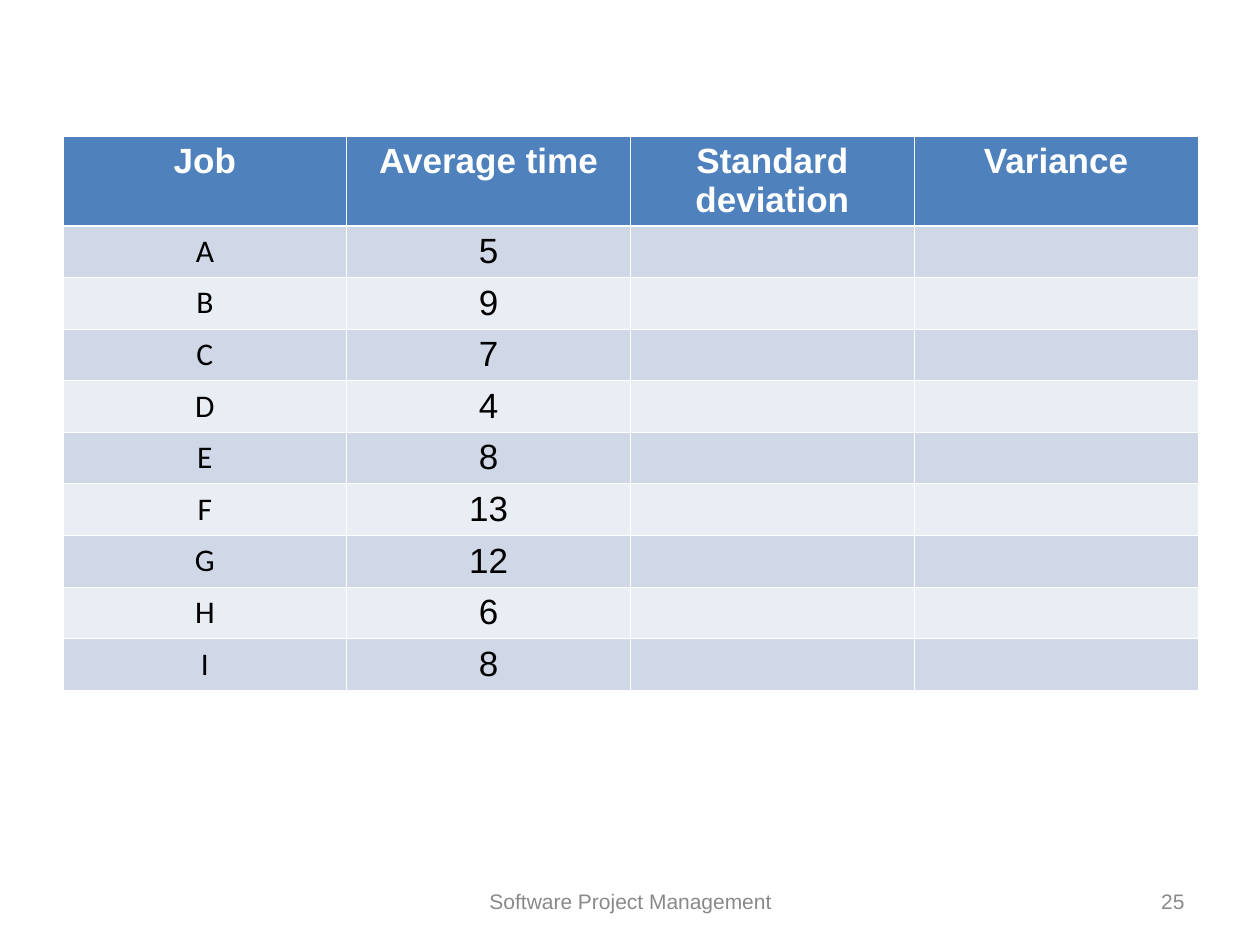
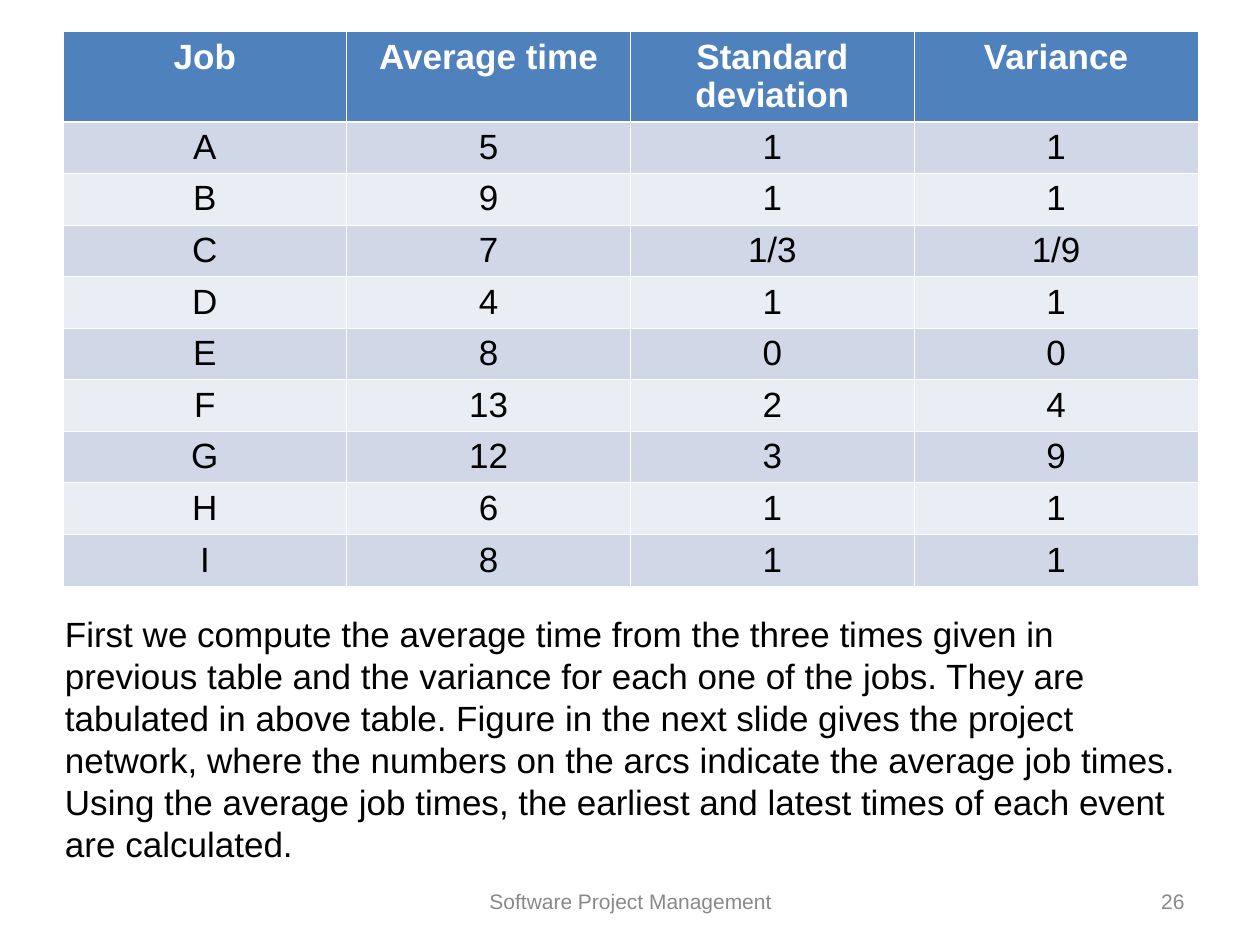
"""Build two slides tabulating job times, deviations and variances."""
from lxml.etree import SubElement
from pptx import Presentation
from pptx.dml.color import RGBColor
from pptx.enum.text import MSO_ANCHOR as Anchor, PP_ALIGN as Align
from pptx.oxml.ns import qn
from pptx.util import Cm, Pt

COLORS = {
    "header": "4F81BD",
    "odd_band": "D0D8E8",
    "even_band": "E9EDF4",
    "white": "FFFFFF",
    "black": "000000",
    "footer": "898989",
}
HEADINGS = ("Job", "Average time", "Standard deviation", "Variance")
JOBS = [
    ("A", "5", "1", "1"),
    ("B", "9", "1", "1"),
    ("C", "7", "1/3", "1/9"),
    ("D", "4", "1", "1"),
    ("E", "8", "0", "0"),
    ("F", "13", "2", "4"),
    ("G", "12", "3", "9"),
    ("H", "6", "1", "1"),
    ("I", "8", "1", "1"),
]
EXPLANATION = (
    "First we compute the average time from the three times given in previous table "
    "and the variance for each one of the jobs. They are tabulated in above table. "
    "Figure in the next slide gives the project network, where the numbers on the arcs "
    "indicate the average job times. Using the average job times, the earliest and "
    "latest times of each event are calculated."
)
FOOTER = "Software Project Management"
SLIDES = [
    {"number": "25", "table_top": 2.74, "known_columns": 2, "explanation": "",
     "job_font": {"name": "Calibri", "size": Pt(18)}},
    {"number": "26", "table_top": 0.64, "known_columns": 4, "explanation": EXPLANATION,
     "job_font": {}},
]

TABLE_LEFT, COLUMN_WIDTH = 1.27, 5.72
HEADER_HEIGHT, ROW_HEIGHT = 1.81, 1.04
THIN_LINE, HEADER_LINE = Pt(0.45), Pt(1.47)
FOOTER_TOP, FOOTER_HEIGHT = 17.65, 1.02
BODY_FONT = {"name": "Arial", "size": Pt(20), "bold": False}
HEADER_FONT = {**BODY_FONT, "bold": True}
FOOTER_FONT = {**BODY_FONT, "size": Pt(12)}
CELL_FORMAT = {
    "margin_left": Cm(0.21),
    "margin_right": Cm(0.21),
    "margin_top": Cm(0.13),
    "margin_bottom": Cm(0.13),
}


def set_attributes(target, values):
    for name, value in values.items():
        setattr(target, name, value)


def write_text(paragraph, text, font, color, **paragraph_format):
    set_attributes(paragraph, paragraph_format)
    if text:
        run = paragraph.add_run()
        run.text = text
        set_attributes(run.font, font)
        run.font.color.rgb = RGBColor.from_string(COLORS[color])


def set_borders(cell, row_index):
    properties = cell._tc.get_or_add_tcPr()
    widths = {
        "a:lnL": THIN_LINE,
        "a:lnR": THIN_LINE,
        "a:lnT": HEADER_LINE if row_index == 1 else THIN_LINE,
        "a:lnB": HEADER_LINE if row_index == 0 else THIN_LINE,
    }
    for position, (tag, width) in enumerate(widths.items()):
        line = SubElement(properties, qn(tag), w=str(int(width)))
        fill = SubElement(line, qn("a:solidFill"))
        SubElement(fill, qn("a:srgbClr"), val=COLORS["white"])
        properties.insert(position, line)


def add_job_table(slide, top, known_columns, job_font):
    records = [HEADINGS] + [
        job[:known_columns] + ("",) * (len(HEADINGS) - known_columns) for job in JOBS
    ]
    table = slide.shapes.add_table(
        len(records), len(HEADINGS), Cm(TABLE_LEFT), Cm(top),
        Cm(COLUMN_WIDTH * len(HEADINGS)), Cm(HEADER_HEIGHT + ROW_HEIGHT * len(JOBS)),
    ).table
    for column in table.columns:
        column.width = Cm(COLUMN_WIDTH)
    for row_index, record in enumerate(records):
        is_header = row_index == 0
        table.rows[row_index].height = Cm(HEADER_HEIGHT if is_header else ROW_HEIGHT)
        band = "header" if is_header else "odd_band" if row_index % 2 else "even_band"
        for column_index, text in enumerate(record):
            cell = table.cell(row_index, column_index)
            set_attributes(cell, CELL_FORMAT)
            cell.fill.solid()
            cell.fill.fore_color.rgb = RGBColor.from_string(COLORS[band])
            set_borders(cell, row_index)
            font = HEADER_FONT if is_header else BODY_FONT
            if column_index == 0 and not is_header:
                font = {**font, **job_font}
            write_text(cell.text_frame.paragraphs[0], text, font,
                       "white" if is_header else "black",
                       alignment=Align.CENTER, line_spacing=Pt(22))


def add_text(slide, text, box, font, color, anchor, **paragraph_format):
    frame = slide.shapes.add_textbox(*map(Cm, box)).text_frame
    set_attributes(frame, {"word_wrap": True, "vertical_anchor": anchor})
    write_text(frame.paragraphs[0], text, font, color, **paragraph_format)


def add_footer(slide, number):
    for text, left, width, alignment in (
        (FOOTER, 8.69, 8.05, Align.CENTER),
        (number, 18.21, 5.92, Align.RIGHT),
    ):
        add_text(slide, text, (left, FOOTER_TOP, width, FOOTER_HEIGHT),
                 FOOTER_FONT, "footer", Anchor.MIDDLE, alignment=alignment)


def main():
    presentation = Presentation()
    set_attributes(presentation, {"slide_width": Cm(25.4), "slide_height": Cm(19.05)})
    for content in SLIDES:
        slide = presentation.slides.add_slide(presentation.slide_layouts[6])
        add_job_table(slide, content["table_top"], content["known_columns"],
                      content["job_font"])
        add_footer(slide, content["number"])
        if content["explanation"]:
            add_text(slide, content["explanation"], (1.06, 12.22, 23.29, 6.2),
                     BODY_FONT, "black", Anchor.TOP, line_spacing=Pt(24))
    presentation.save("out.pptx")


if __name__ == "__main__":
    main()
